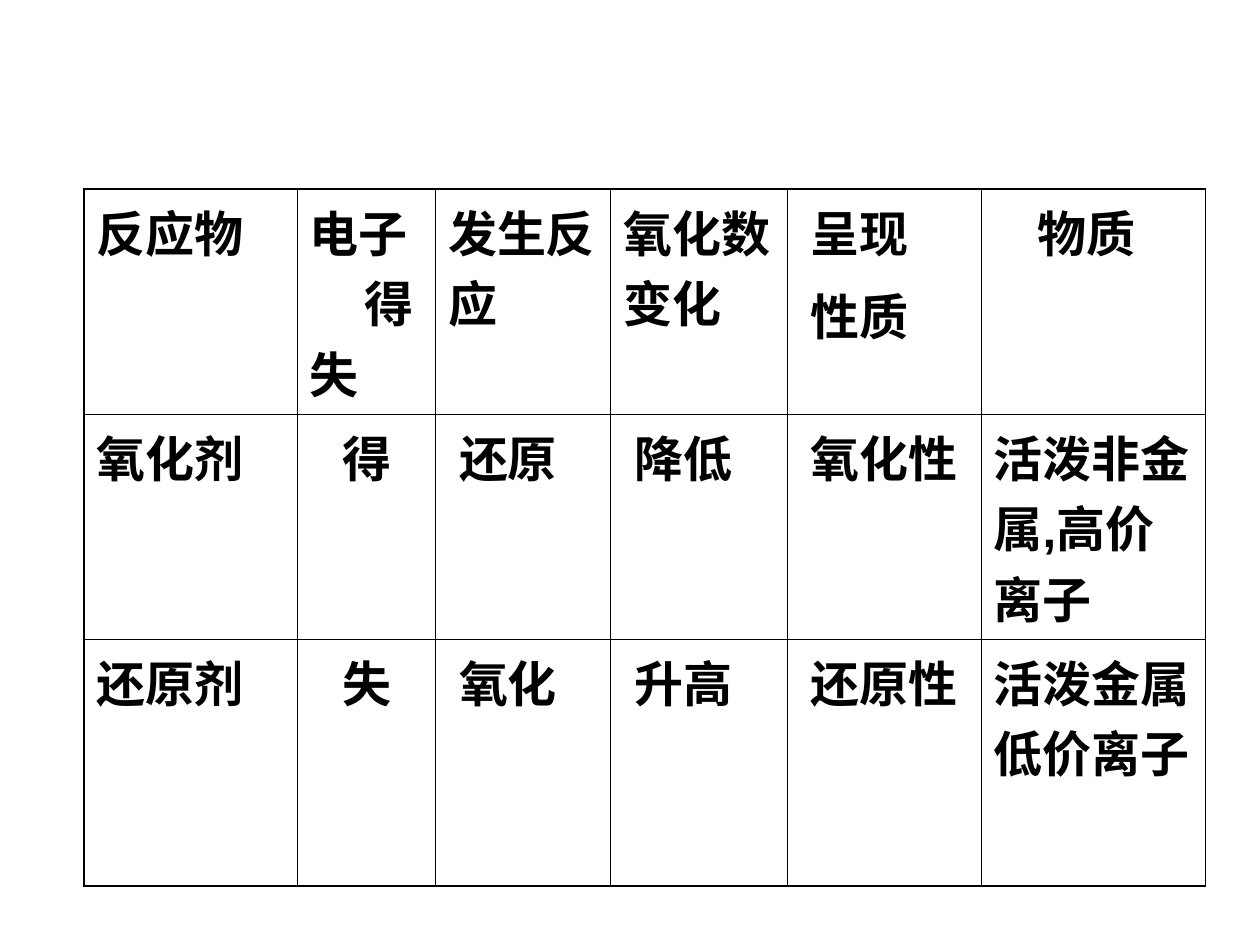
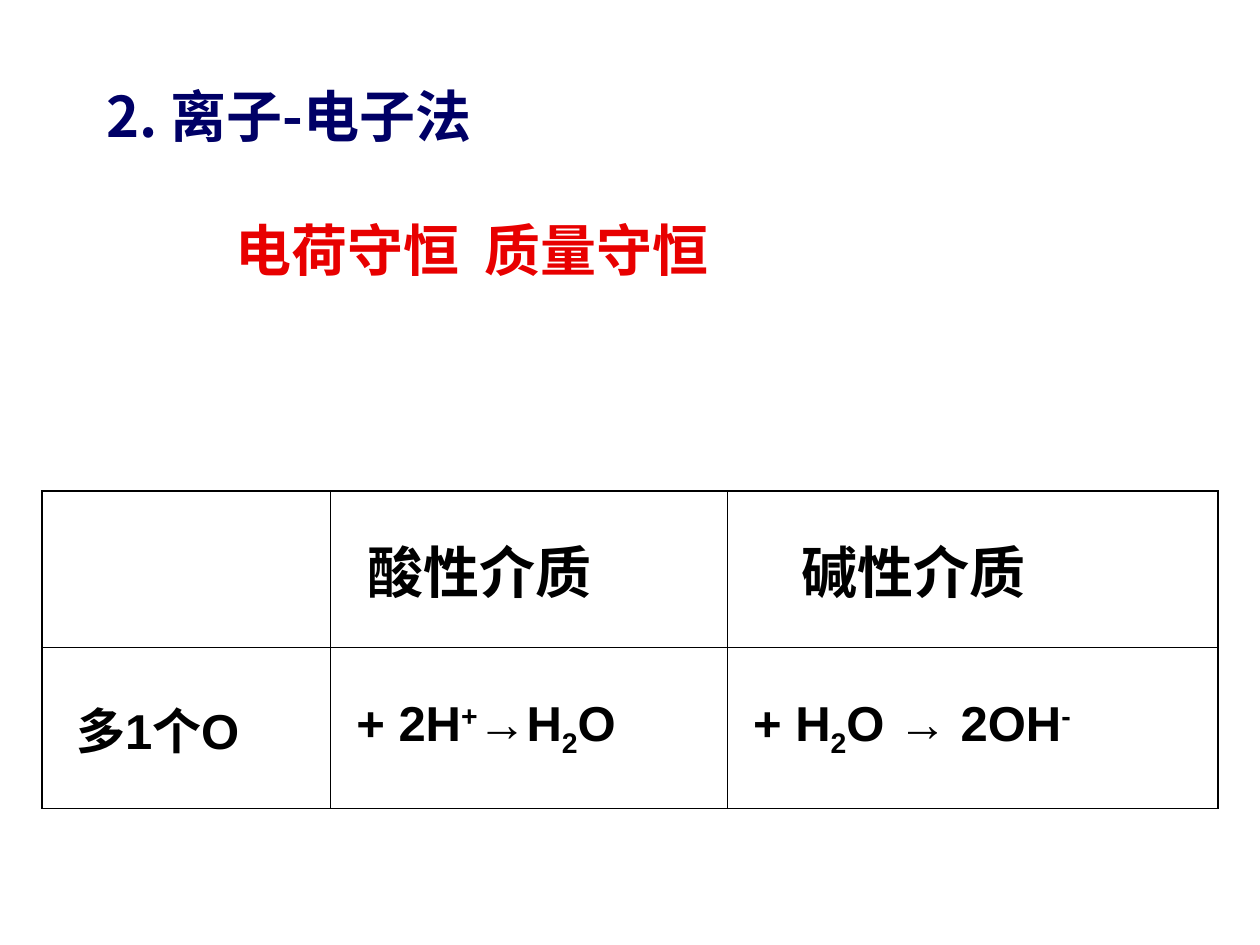
"""Build two chemistry slides on redox reactants and the ion-electron method."""
from lxml.etree import SubElement
from pptx import Presentation
from pptx.dml.color import RGBColor
from pptx.enum.text import MSO_ANCHOR
from pptx.oxml.ns import qn
from pptx.util import Cm, Pt

COLORS = {"ink": "000000", "heading": "000066", "stress": "E80000"}
SPACE = 0.22
LATIN, CHINESE, JAPANESE = "Arial", "Noto Sans CJK SC", "Noto Sans CJK JP"
OUTER, INNER = Pt(1.08), Pt(0.45)


def write_para(para, spans, size, color="ink", latin=LATIN, asian=CHINESE, indent=0):
    """Fill a paragraph with (text, baseline) spans after a first-line indent."""
    properties = para._p.get_or_add_pPr()
    properties.set("marL", "0")
    properties.set("indent", str(Cm(indent)))
    for text, baseline in spans:
        span = para.add_run()
        span.text = text
        for name, value in {"size": Pt(size), "bold": True, "name": latin}.items():
            setattr(span.font, name, value)
        span.font.color.rgb = RGBColor.from_string(COLORS[color])
        run_properties = span._r.get_or_add_rPr()
        SubElement(run_properties, qn("a:ea"), typeface=asian)
        if baseline:
            run_properties.set("baseline", str(baseline * 1000))


def draw_border(cell, side, width):
    """Draw one solid side of a table cell."""
    line = SubElement(cell._tc.get_or_add_tcPr(), qn(f"a:ln{side}"), w=str(width))
    fill = SubElement(line, qn("a:solidFill"))
    SubElement(fill, qn("a:srgbClr"), val=COLORS["ink"])


deck = Presentation()
deck.slide_width, deck.slide_height = Cm(25.4), Cm(19.05)
reactant_page, method_page = [deck.slides.add_slide(deck.slide_layouts[6]) for _ in range(2)]

box = method_page.shapes.add_textbox(Cm(1.9), Cm(1.52), Cm(21.6), Cm(6.22))
frame = box.text_frame
frame.word_wrap = True
write_para(frame.paragraphs[0], [("2. 离子-电子法", 0)], 32, "heading", JAPANESE, JAPANESE)
para = frame.add_paragraph()
para.space_before = Pt(38)
tabs = SubElement(para._p.get_or_add_pPr(), qn("a:tabLst"))
SubElement(tabs, qn("a:tab"), pos=str(Cm(8.12)), algn="l")
write_para(para, [("电荷守恒\t质量守恒", 0)], 32, "stress", CHINESE, indent=2.6)

reactant_table = {
    "page": reactant_page, "left": 1.7, "top": 3.81, "anchor": MSO_ANCHOR.TOP,
    "widths": [4.29, 2.79, 3.53, 3.56, 3.91, 4.52],
    "heights": [3.81, 4.32, 4.98],
    "sizes": [28, 28, 28],
    "rows": [
        [["反应物"], ["电子", "得失"], ["发生反应"], ["氧化数变化"], ["呈现", "性质"], ["物质"]],
        [["氧化剂"], ["得"], ["还原"], ["降低"], ["氧化性"], ["活泼非金属,高价离子"]],
        [["还原剂"], ["失"], ["氧化"], ["升高"], ["还原性"], ["活泼金属低价离子"]],
    ],
    "indents": [[0, 0, 0, 0, SPACE, 4 * SPACE]] + [[0, 3 * SPACE, SPACE, SPACE, SPACE, 0]] * 2,
    "second_lines": {(0, 1): (5 * SPACE, 0), (0, 4): (SPACE, 7)},
}
method_table = {
    "page": method_page, "left": 0.84, "top": 9.9, "anchor": MSO_ANCHOR.MIDDLE,
    "widths": [5.82, 8, 9.9],
    "heights": [3.15, 3.25],
    "sizes": [32, 28],
    "rows": [
        [[], ["酸性介质"], ["碱性介质"]],
        [
            ["多1个O"],
            [[("+ 2H", 0), ("+", 30), ("→H", 0), ("2", -25), ("O", 0)]],
            [[("+ H", 0), ("2", -25), ("O → 2OH", 0), ("-", 30)]],
        ],
    ],
    "indents": [[0, 0.5, 1.25], [0.44, 0.27, 0.27]],
    "second_lines": {},
}

for content in (reactant_table, method_table):
    widths, heights = content["widths"], content["heights"]
    last_row, last_column = len(heights) - 1, len(widths) - 1
    table = content["page"].shapes.add_table(
        len(heights), len(widths), Cm(content["left"]), Cm(content["top"]),
        Cm(sum(widths)), Cm(sum(heights))).table
    table.first_row = table.horz_banding = False
    for column, width in zip(table.columns, widths):
        column.width = Cm(width)
    for row, height in zip(table.rows, heights):
        row.height = Cm(height)
    for i, texts in enumerate(content["rows"]):
        for j, lines in enumerate(texts):
            cell = table.cell(i, j)
            cell.vertical_anchor = content["anchor"]
            edges = {"L": j == 0, "R": j == last_column, "T": i == 0, "B": i == last_row}
            for side, is_outer in edges.items():
                draw_border(cell, side, OUTER if is_outer else INNER)
            cell.fill.background()
            for number, line in enumerate(lines):
                para = cell.text_frame.paragraphs[0]
                indent = content["indents"][i][j]
                if number:
                    para = cell.text_frame.add_paragraph()
                    indent, gap = content["second_lines"][i, j]
                    para.space_before = Pt(gap)
                spans = [(line, 0)] if isinstance(line, str) else line
                write_para(para, spans, content["sizes"][i], indent=indent)

deck.save("out.pptx")
